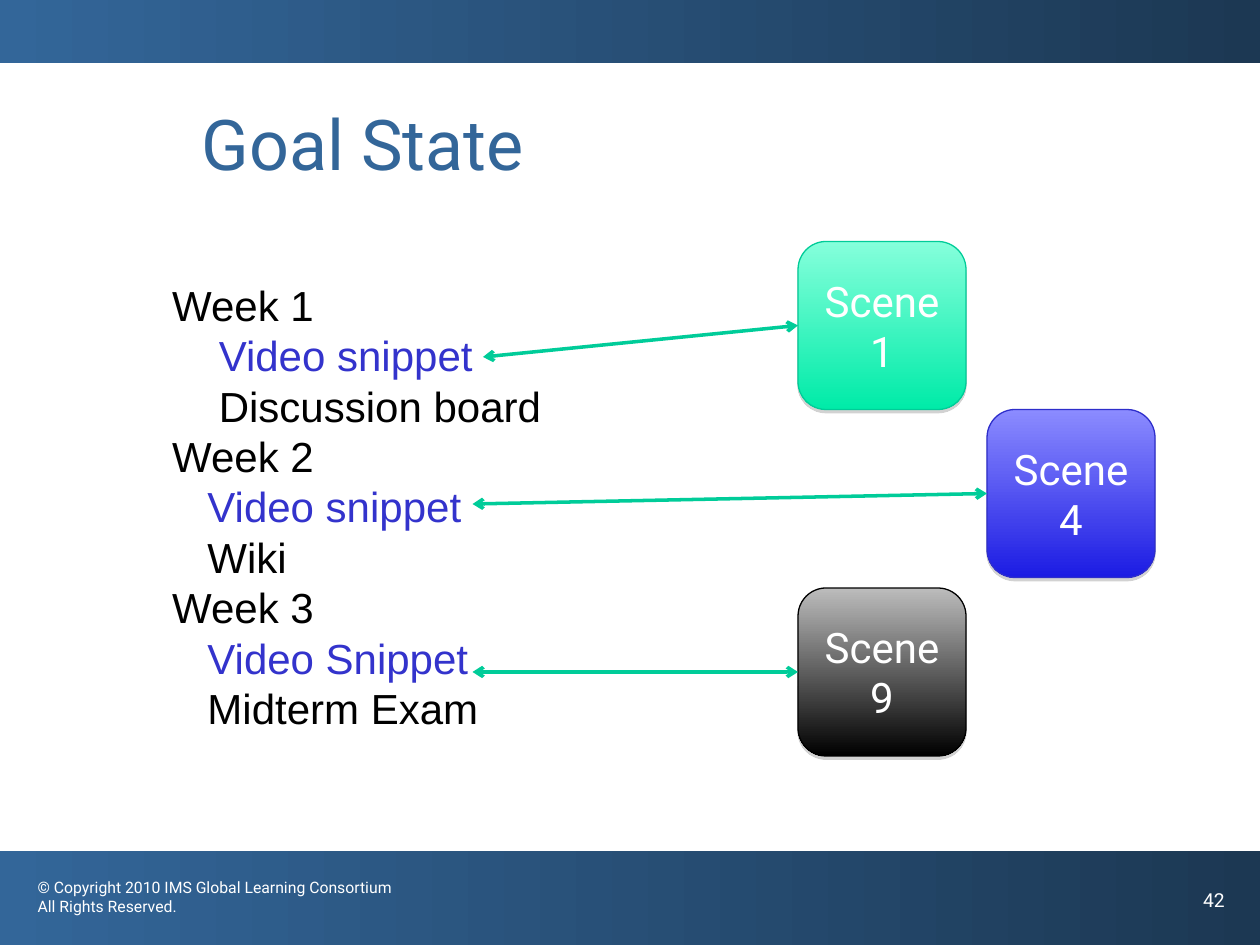
from lxml.etree import SubElement
from pptx import Presentation
from pptx.dml.color import RGBColor
from pptx.enum.shapes import MSO_CONNECTOR, MSO_SHAPE
from pptx.enum.text import MSO_ANCHOR, MSO_AUTO_SIZE, PP_ALIGN
from pptx.oxml.ns import qn
from pptx.util import Inches, Pt

COLORS = {
    "navy": "1C3853", "blue": "336699", "white": "FFFFFF", "black": "000000",
    "link": "3333CC", "arrow": "00CC99", "shadow": "808080",
}
WEEKS = [
    ("Week 1", 0.37, ["Video snippet", "Discussion board"]),
    ("Week 2", 0.28, ["Video snippet", "Wiki"]),
    ("Week 3", 0.28, ["Video Snippet", "Midterm Exam"]),
]
SCENES = [
    ("1", (76, 23, 16, 16), ("85FFDB", "00EBA8"), "00CC98", (46, 34)),
    ("4", (94, 39, 16, 16), ("8B8BFF", "1C1CE3"), "2E2ECB", (45, 48)),
    ("9", (76, 56, 16, 16), ("BCBCBC", "000000"), "000000", (45, 64)),
]


def grid(*units):
    """Turn units of a 120 by 90 grid into slide lengths."""
    return [Inches(unit / 12) for unit in units]


def style(para, font, size, color):
    """Format all the text of a paragraph."""
    para.font.name = font
    para.font.size = Pt(size)
    para.font.color.rgb = RGBColor.from_string(color)


def place(shape, box):
    """Move a placeholder to a grid box."""
    shape.left, shape.top, shape.width, shape.height = grid(*box)


def paint(shape, colors, angle):
    """Fill a shape with a two-colour linear gradient."""
    shape.fill.gradient()
    shape.fill.gradient_angle = angle
    for stop, color in zip(shape.fill.gradient_stops, colors):
        stop.color.rgb = RGBColor.from_string(color)


def add_bar(page, box):
    """Draw a full-width gradient band."""
    bar = page.shapes.add_shape(MSO_SHAPE.RECTANGLE, *grid(*box))
    bar.shadow.inherit = False
    bar.line.fill.background()
    paint(bar, (COLORS["navy"], COLORS["blue"]), 180)


def add_note(page, box, text, size):
    """Write small white text on a band."""
    note = page.shapes.add_textbox(*grid(*box))
    note.text_frame.word_wrap = True
    note.text_frame.text = text
    for para in note.text_frame.paragraphs:
        style(para, "Roboto", size, COLORS["white"])


def fill_title(title, box, text):
    """Place and format the slide title."""
    place(title, box)
    frame = title.text_frame
    frame.text = text
    frame.vertical_anchor = MSO_ANCHOR.TOP
    frame.auto_size = MSO_AUTO_SIZE.NONE
    frame.paragraphs[0].alignment = PP_ALIGN.LEFT
    style(frame.paragraphs[0], "Roboto", 40, COLORS["blue"])


def fill_weeks(body, box):
    """Place the course outline and indent the items of each week."""
    place(body, box)
    frame = body.text_frame
    frame.auto_size = MSO_AUTO_SIZE.NONE
    frame.margin_right = 0
    rows = []
    for week, indent, (video, other) in WEEKS:
        rows += [(week, 0, "black"), (video, indent, "link"), (other, indent, "black")]
    frame.text = "\n".join(text for text, _, _ in rows)
    for para, (_, indent, color) in zip(frame.paragraphs, rows):
        properties = para._p.get_or_add_pPr()
        properties.set("marL", str(Inches(indent)))
        properties.set("indent", "0")
        SubElement(properties, qn("a:buNone"))
        para.space_before = Pt(0)
        para.line_spacing = Pt(28.8)
        style(para, "Arial", 24, COLORS[color])


def add_drop_shadow(shape):
    """Give a shape a thin shadow below it."""
    shape.shadow.inherit = False
    effects = shape._element.spPr.find(qn("a:effectLst"))
    shadow = SubElement(effects, qn("a:outerShdw"), blurRad="0", dist=str(Pt(1.8)),
                        dir="5400000", rotWithShape="0")
    color = SubElement(shadow, qn("a:srgbClr"), val=COLORS["shadow"])
    SubElement(color, qn("a:alpha"), val="35000")


def add_scene(page, box, number, colors, outline):
    """Draw one rounded scene tile."""
    scene = page.shapes.add_shape(MSO_SHAPE.ROUNDED_RECTANGLE, *grid(*box))
    paint(scene, colors, 270)
    scene.line.color.rgb = RGBColor.from_string(outline)
    scene.line.width = Pt(0.75)
    add_drop_shadow(scene)
    frame = scene.text_frame
    frame.text = f"Scene\n{number}"
    frame.vertical_anchor = MSO_ANCHOR.MIDDLE
    for para in frame.paragraphs:
        para.alignment = PP_ALIGN.CENTER
        style(para, "Roboto", 24, COLORS["white"])


def add_link(page, start, box):
    """Join a list item to the left middle of a scene with a double arrow."""
    left, top, _, height = box
    link = page.shapes.add_connector(
        MSO_CONNECTOR.STRAIGHT, *grid(*start, left, top + height / 2))
    link.line.color.rgb = RGBColor.from_string(COLORS["arrow"])
    link.line.width = Pt(2)
    line = link.line._get_or_add_ln()
    for end in ("a:headEnd", "a:tailEnd"):
        SubElement(line, qn(end), type="arrow")
    SubElement(link._element.spPr, qn("a:effectLst"))


def main():
    """Build and save the slide."""
    deck = Presentation()
    deck.slide_width, deck.slide_height = grid(120, 90)
    page = deck.slides.add_slide(deck.slide_layouts[1])
    add_bar(page, (0, 81.1, 120, 8.9))
    add_note(page, (2.4, 83, 37.6, 6),
             "© Copyright 2010 IMS Global Learning Consortium\nAll Rights Reserved.", 9)
    add_bar(page, (0, 0, 120, 6))
    add_note(page, (113.4, 84, 6.6, 6), "42", 11)
    fill_title(page.shapes.title, (18, 9, 99, 14), "Goal State")
    fill_weeks(page.placeholders[1], (15.2, 26, 37.4, 44.4))
    for number, box, colors, outline, start in SCENES:
        add_scene(page, box, number, colors, outline)
        add_link(page, start, box)
    deck.save("out.pptx")


if __name__ == "__main__":
    main()
